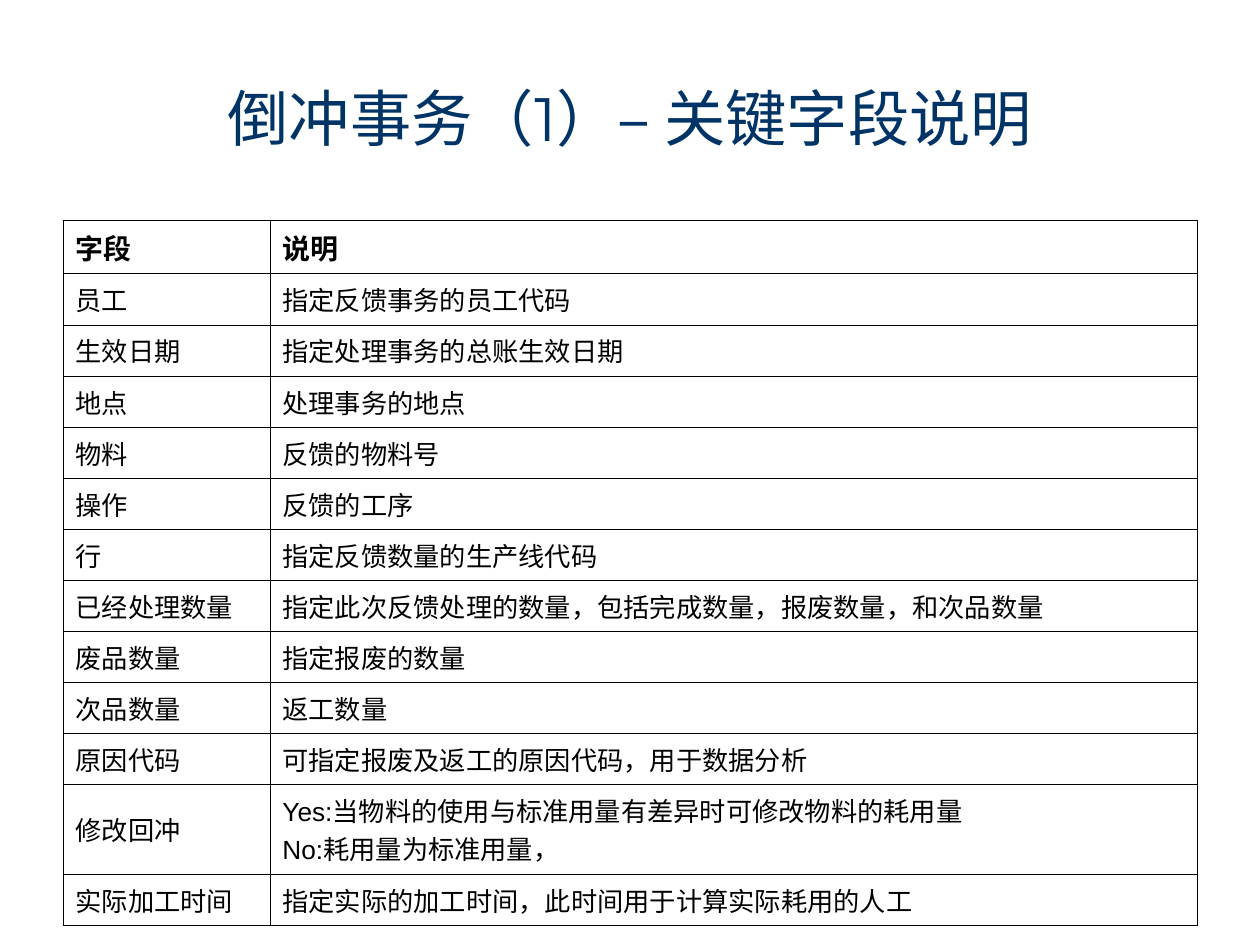
from typing import NamedTuple

from lxml import etree
from pptx import Presentation
from pptx import util as u
from pptx.dml.color import RGBColor
from pptx.enum import text
from pptx.oxml import ns

HUES = {"title": "003366", "ink": "000000"}
HAN = "Noto Sans CJK SC"


class Style(NamedTuple):
    font: str
    size: float
    hue: str
    bold: bool = False


class Row(NamedTuple):
    field: str
    note: str
    high: float = 1.03
    hang: float = 1.17


TITLE = Style("Montserrat", 35, "title")
HEAD = Style(HAN, 16, "ink", True)
BODY = Style("Arial", 15, "ink")

ROWS = [
    Row("字段", "说明", 1.07, 0.97),
    Row("员工", "指定反馈事务的员工代码", hang=0.97),
    Row("生效日期", "指定处理事务的总账生效日期", hang=0.97),
    Row("地点", "处理事务的地点", hang=0.97),
    Row("物料", "反馈的物料号"),
    Row("操作", "反馈的工序"),
    Row("行", "指定反馈数量的生产线代码"),
    Row("已经处理数量", "指定此次反馈处理的数量，包括完成数量，报废数量，和次品数量"),
    Row("废品数量", "指定报废的数量"),
    Row("次品数量", "返工数量"),
    Row("原因代码", "可指定报废及返工的原因代码，用于数据分析"),
    Row("修改回冲", "Yes:当物料的使用与标准用量有差异时可修改物料的耗用量\nNo:耗用量为标准用量，", 1.8),
    Row("实际加工时间", "指定实际的加工时间，此时间用于计算实际耗用的人工"),
]


def format_text(frame, style: Style) -> None:
    for para in frame.paragraphs:
        for run in para.runs:
            font = run.font
            font.name = style.font
            font.size = u.Pt(style.size)
            font.bold = style.bold
            font.color.rgb = RGBColor.from_string(HUES[style.hue])
            east = etree.Element(ns.qn("a:ea"), typeface=HAN)
            run._r.rPr.find(ns.qn("a:latin")).addnext(east)


def add_edges(cell) -> None:
    props = cell._tc.get_or_add_tcPr()
    for side in "LRTB":
        line = etree.SubElement(props, ns.qn(f"a:ln{side}"), w=str(u.Pt(0.45)))
        fill = etree.SubElement(line, ns.qn("a:solidFill"))
        etree.SubElement(fill, ns.qn("a:srgbClr"), val=HUES["ink"])


def fill_cell(cell, words: str, style: Style, hang: float) -> None:
    frame = cell.text_frame
    frame.text = words
    format_text(frame, style)
    for para in frame.paragraphs:
        props = para._p.get_or_add_pPr()
        props.set("marL", str(u.Cm(hang)))
        props.set("indent", str(-u.Cm(hang)))
    cell.vertical_anchor = text.MSO_ANCHOR.MIDDLE
    add_edges(cell)
    cell.fill.background()


def add_title(slide, words: str) -> None:
    box = slide.shapes.add_textbox(u.Cm(1.27), u.Cm(0.76), u.Cm(22.86), u.Cm(3.18))
    frame = box.text_frame
    frame.word_wrap = True
    frame.vertical_anchor = text.MSO_ANCHOR.MIDDLE
    frame.text = words
    frame.paragraphs[0].alignment = text.PP_ALIGN.CENTER
    format_text(frame, TITLE)


def add_grid(slide, rows: list[Row]) -> None:
    high = sum(row.high for row in rows)
    table = slide.shapes.add_table(
        len(rows), 2, u.Cm(1.27), u.Cm(4.45), u.Cm(22.86), u.Cm(high)
    ).table
    table.horz_banding = False
    for col, wide in zip(table.columns, (4.17, 18.69)):
        col.width = u.Cm(wide)
    for num, row in enumerate(rows):
        table.rows[num].height = u.Cm(row.high)
        style = BODY if num else HEAD
        fill_cell(table.cell(num, 0), row.field, style, 0.97)
        fill_cell(table.cell(num, 1), row.note, style, row.hang)


deck = Presentation()
deck.slide_width, deck.slide_height = u.Cm(25.4), u.Cm(19.05)
slide = deck.slides.add_slide(deck.slide_layouts[6])
add_title(slide, "倒冲事务（1）– 关键字段说明")
add_grid(slide, ROWS)
deck.save("out.pptx")
